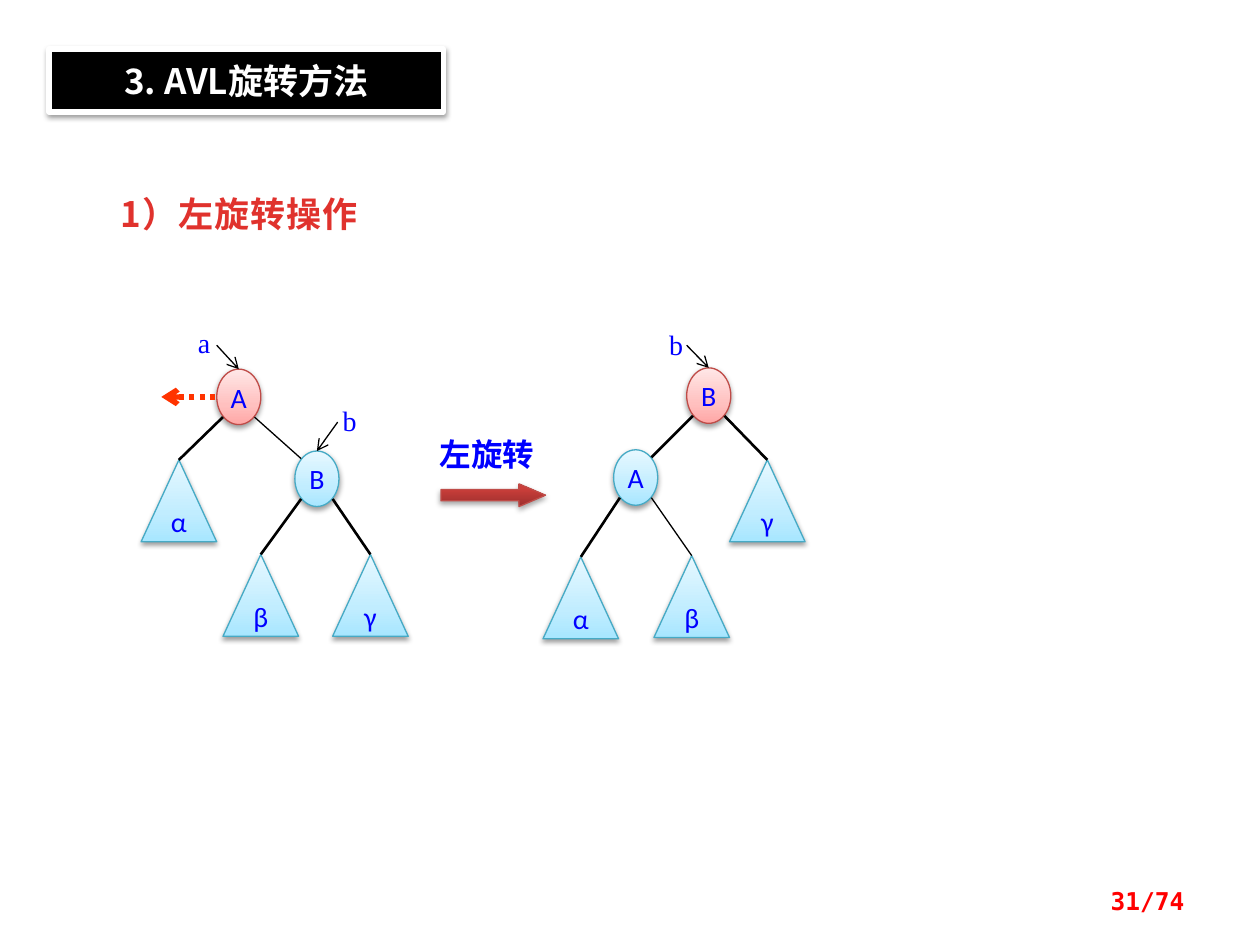
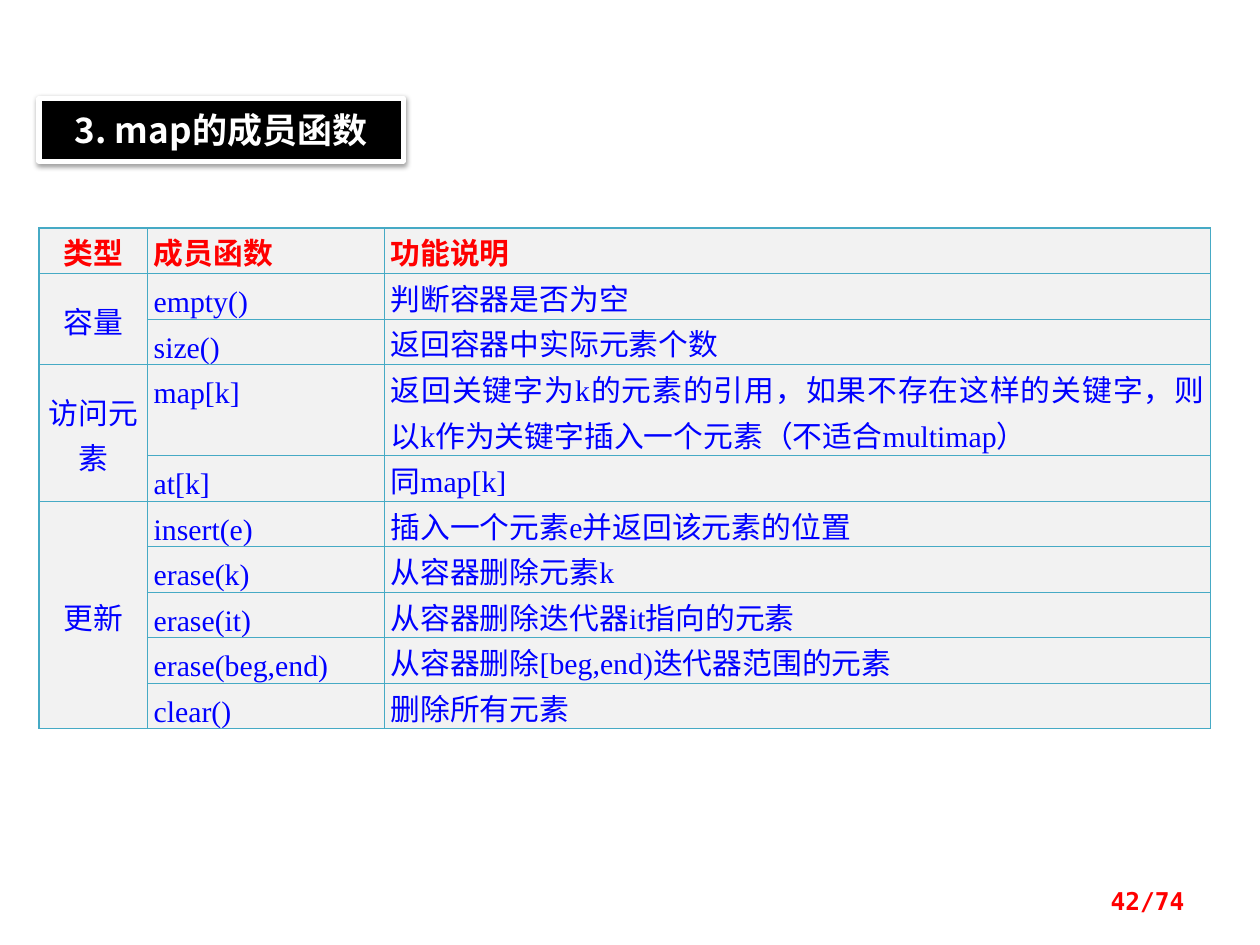
from lxml.etree import SubElement
from pptx import Presentation
from pptx.dml.color import RGBColor
from pptx.enum.dml import MSO_LINE
from pptx.enum.shapes import MSO_CONNECTOR, MSO_SHAPE
from pptx.enum.text import MSO_ANCHOR, PP_ALIGN
from pptx.oxml.ns import qn
from pptx.util import Emu, Inches, Pt

BLACK, WHITE, BLUE, RED = "000000", "FFFFFF", "0000FF", "FF0000"
HEADING_RED, DOTTED_RED = "E0322D", "FF3300"
TABLE_LINE, TABLE_FILL = "46AAC5", "F2F2F2"
RED_NODE = ([(0, "FFA6A5"), (35, "FFC0BF"), (100, "FFE7E7")], "BF4C48")
BLUE_NODE = ([(0, "A7E6FF"), (35, "C1EDFF"), (100, "E7F8FF")], "46AAC5")
RED_ARROW = ([(0, "9C2F2D"), (80, "CB3E3A"), (100, "CE3B37")], "BF4C48")
CHINESE, SERIF, SANS, MONO = "Noto Sans CJK SC", "Times New Roman", "Calibri", "DejaVu Sans Mono"
PAGE_COUNT = 74
NODE_WIDTH, NODE_HEIGHT = 0.35, 0.44
SUBTREE_WIDTH, SUBTREE_HEIGHT = 0.6, 0.65
DIAGONAL_X, DIAGONAL_Y = 0.05, 0.06
ROW_HEIGHT = 0.36

MEMBER_GROUPS = [
    ("容量", [("empty()", "判断容器是否为空"), ("size()", "返回容器中实际元素个数")]),
    ("访问元素", [
        ("map[k]", "返回关键字为k的元素的引用，如果不存在这样的关键字，则以k作为关键字插入一个元素（不适合multimap）"),
        ("at[k]", "同map[k]"),
    ]),
    ("更新", [
        ("insert(e)", "插入一个元素e并返回该元素的位置"),
        ("erase(k)", "从容器删除元素k"),
        ("erase(it)", "从容器删除迭代器it指向的元素"),
        ("erase(beg,end)", "从容器删除[beg,end)迭代器范围的元素"),
        ("clear()", "删除所有元素"),
    ]),
]


def color(value):
    """Turn a hex string into a colour."""
    return RGBColor.from_string(value)


def box(left, top, width, height):
    """Convert a box in inches to lengths."""
    return [Inches(value) for value in (left, top, width, height)]


def write(frame, text, size, font, text_color, bold=False, align=PP_ALIGN.LEFT):
    """Write one run into the first paragraph of a frame."""
    paragraph = frame.paragraphs[0]
    paragraph.alignment = align
    run = paragraph.add_run()
    run.text = text
    run.font.size = Pt(size)
    run.font.name = font
    run.font.bold = bold
    run.font.color.rgb = color(text_color)
    SubElement(run.font._element, qn("a:ea"), typeface=CHINESE)
    return run


def set_margins(frame, horizontal, vertical):
    """Set the left and right, then the top and bottom margins."""
    frame.margin_left = frame.margin_right = Inches(horizontal)
    frame.margin_top = frame.margin_bottom = Inches(vertical)


def add_shadow(shape, opacity=38, distance=1.6):
    """Give a shape a soft shadow straight below it."""
    shape.shadow.inherit = False
    effects = shape._element.spPr.find(qn("a:effectLst"))
    shadow = SubElement(effects, qn("a:outerShdw"), blurRad=str(Pt(3.1)), dist=str(Pt(distance)),
                        dir="5400000", rotWithShape="0")
    shade = SubElement(shadow, qn("a:srgbClr"), val=BLACK)
    SubElement(shade, qn("a:alpha"), val=str(opacity * 1000))


def add_gradient_shape(slide, kind, bounds, style):
    """Add a shape with an upward gradient and a thin outline."""
    stops, outline = style
    shape = slide.shapes.add_shape(kind, *box(*bounds))
    shape.fill.gradient()
    shape.fill.gradient_angle = 90
    stop_list = shape._element.spPr.find(".//" + qn("a:gsLst"))
    for stop in list(stop_list):
        stop_list.remove(stop)
    for position, value in stops:
        stop = SubElement(stop_list, qn("a:gs"), pos=str(position * 1000))
        SubElement(stop, qn("a:srgbClr"), val=value)
    shape.line.color.rgb = color(outline)
    shape.line.width = Pt(0.75)
    return shape


def add_line(slide, start, end, width=0.75, line_color=BLACK, dash=None, arrow=False, target=None):
    """Draw a straight line, joined to the top of a target if given."""
    line = slide.shapes.add_connector(MSO_CONNECTOR.STRAIGHT, *box(*start, *end))
    line.line.color.rgb = color(line_color)
    line.line.width = Pt(width)
    if dash:
        line.line.dash_style = dash
    if arrow:
        SubElement(line.line._get_or_add_ln(), qn("a:tailEnd"), type="arrow")
    SubElement(line._element.spPr, qn("a:effectLst"))
    if target is not None:
        line.end_connect(target, 0)


def add_title(slide, text, left, top, width):
    """Add the black title band."""
    band = slide.shapes.add_shape(MSO_SHAPE.RECTANGLE, *box(left, top, width, 0.5))
    band.fill.solid()
    band.fill.fore_color.rgb = color(BLACK)
    band.line.color.rgb = color(WHITE)
    band.line.width = Pt(3)
    add_shadow(band)
    set_margins(band.text_frame, 0.1, 0.08)
    band.text_frame.vertical_anchor = MSO_ANCHOR.MIDDLE
    write(band.text_frame, text, 20, CHINESE, WHITE, True, PP_ALIGN.CENTER)


def add_page_number(slide, number):
    """Add the page number at the lower right."""
    frame = slide.shapes.add_textbox(*box(7.17, 6.95, 2.33, 0.4)).text_frame
    frame.word_wrap = True
    frame.vertical_anchor = MSO_ANCHOR.MIDDLE
    write(frame, f"{number}/{PAGE_COUNT}", 14, MONO, RED, True, PP_ALIGN.RIGHT)


def add_label(slide, text, bounds, size=16, bold=False):
    """Add a small label on white."""
    label = slide.shapes.add_textbox(*box(*bounds))
    label.fill.solid()
    label.fill.fore_color.rgb = color(WHITE)
    set_margins(label.text_frame, 0, 0)
    label.text_frame.margin_left = Inches(0.04)
    write(label.text_frame, text, size, SERIF, BLUE, bold)


def add_tree_part(slide, kind, bounds, style, text):
    """Add a lettered node or subtree."""
    part = add_gradient_shape(slide, kind, bounds, style)
    add_shadow(part)
    set_margins(part.text_frame, 0, 0)
    part.text_frame.vertical_anchor = MSO_ANCHOR.MIDDLE
    part.text_frame.word_wrap = True
    write(part.text_frame, text, 16, SANS, BLUE, align=PP_ALIGN.CENTER)
    return part


def add_tree(slide, left, top, nodes, subtrees, edges, pointers):
    """Draw a tree whose parts are placed from its upper left corner."""
    parts, places = {}, {}
    for name, x, y, style in nodes:
        places[name] = (left + x, top + y)
        parts[name] = add_tree_part(slide, MSO_SHAPE.OVAL, (*places[name], NODE_WIDTH, NODE_HEIGHT), style, name)
    for name, x, y in subtrees:
        places[name] = (left + x, top + y)
        parts[name] = add_tree_part(slide, MSO_SHAPE.ISOSCELES_TRIANGLE,
                                    (*places[name], SUBTREE_WIDTH, SUBTREE_HEIGHT), BLUE_NODE, name)
    node_names = [node[0] for node in nodes]
    for parent, child, width in edges:
        (parent_x, parent_y), (child_x, child_y) = places[parent], places[child]
        goes_right = child_x > parent_x
        near, far = DIAGONAL_X, NODE_WIDTH - DIAGONAL_X
        start = (parent_x + (far if goes_right else near), parent_y + NODE_HEIGHT - DIAGONAL_Y)
        if child in node_names:
            end = (child_x + (near if goes_right else far), child_y + DIAGONAL_Y)
            add_line(slide, start, end, width)
        else:
            add_line(slide, start, (child_x + SUBTREE_WIDTH / 2, child_y), width, target=parts[child])
    for text, label_x, label_y, start_x, start_y, target in pointers:
        add_label(slide, text, (left + label_x, top + label_y, 0.17, 0.28))
        x, y = places[target]
        add_line(slide, (left + start_x, top + start_y), (x + NODE_WIDTH / 2, y),
                 arrow=True, target=parts[target])


def add_rotation_arrow(slide, left, top):
    """Draw the labelled arrow between the two trees."""
    add_label(slide, "左旋转", (left, top, 1.04, 0.35), 18, True)
    arrow = add_gradient_shape(slide, MSO_SHAPE.RIGHT_ARROW, (left + 0.05, top + 0.39, 0.83, 0.18), RED_ARROW)
    arrow.adjustments[0], arrow.adjustments[1] = 0.5, 1.17
    add_shadow(arrow, 35, 1.8)


def add_heading(slide, text, left, top):
    """Add the red heading below the title."""
    frame = slide.shapes.add_textbox(*box(left, top, 2.66, 0.44)).text_frame
    frame.word_wrap = True
    run = write(frame, text, 20, CHINESE, HEADING_RED, True)
    run.font._element.set("spc", "50")


def fill_cell(cell, text, is_header, is_category):
    """Write and style one table cell with its borders."""
    set_margins(cell, 0.05, 0)
    cell.vertical_anchor = MSO_ANCHOR.MIDDLE if is_category else MSO_ANCHOR.TOP
    cell.fill.solid()
    cell.fill.fore_color.rgb = color(TABLE_FILL)
    properties = cell._tc.get_or_add_tcPr()
    for index, side in enumerate(("a:lnL", "a:lnR", "a:lnT", "a:lnB")):
        border = SubElement(properties, qn(side), w=str(Pt(0.75)))
        fill = SubElement(border, qn("a:solidFill"))
        SubElement(fill, qn("a:srgbClr"), val=TABLE_LINE)
        properties.insert(index, border)
    if text:
        align = PP_ALIGN.CENTER if is_category else PP_ALIGN.JUSTIFY
        write(cell.text_frame, text, 17, SERIF, RED if is_header else BLUE, is_header, align)
        cell.text_frame.paragraphs[0].line_spacing = Pt(26)


def add_member_table(slide, left, top):
    """Add the table of member functions grouped by category."""
    rows = [("类型", "成员函数", "功能说明")]
    spans = []
    for category, members in MEMBER_GROUPS:
        spans.append((len(rows), len(rows) + len(members) - 1))
        rows += [("" if index else category, *member) for index, member in enumerate(members)]
    widths = [0.86, 1.88, 6.56]
    bounds = (left, top, sum(widths), ROW_HEIGHT * (len(rows) + 1))
    table = slide.shapes.add_table(len(rows), len(widths), *box(*bounds)).table
    table.first_row = table.horz_banding = False
    for column, width in zip(table.columns, widths):
        column.width = Inches(width)
    for row_index, texts in enumerate(rows):
        line_count = 2 if texts[1] == "map[k]" else 1
        table.rows[row_index].height = Emu(Inches(ROW_HEIGHT) * line_count)
        for column_index, text in enumerate(texts):
            fill_cell(table.cell(row_index, column_index), text, row_index == 0, column_index == 0)
    for first, last in spans:
        table.cell(first, 0).merge(table.cell(last, 0))


def build_rotation_slide(slide):
    """Build the slide on left rotation."""
    add_title(slide, "3. AVL旋转方法", 0.39, 0.39, 3.13)
    add_heading(slide, "1）左旋转操作", 0.86, 1.48)
    add_tree(
        slide, 1.12, 2.58,
        nodes=[("A", 0.6, 0.35, RED_NODE), ("B", 1.22, 1, BLUE_NODE)],
        subtrees=[("α", 0, 1.07), ("β", 0.65, 1.82), ("γ", 1.52, 1.82)],
        edges=[("A", "α", 1.5), ("A", "B", 0.75), ("B", "β", 1.5), ("B", "γ", 1.5)],
        pointers=[("a", 0.41, 0, 0.6, 0.16, "A"), ("b", 1.56, 0.62, 1.56, 0.77, "B")],
    )
    add_line(slide, (1.71, 3.15), (1.28, 3.15), 3, DOTTED_RED, MSO_LINE.ROUND_DOT, arrow=True)
    add_rotation_arrow(slide, 3.45, 3.45)
    add_tree(
        slide, 4.31, 2.58,
        nodes=[("B", 1.14, 0.34, RED_NODE), ("A", 0.56, 0.99, BLUE_NODE)],
        subtrees=[("α", 0, 1.84), ("β", 0.88, 1.83), ("γ", 1.48, 1.07)],
        edges=[("B", "A", 1.5), ("B", "γ", 1.5), ("A", "α", 1.5), ("A", "β", 0.75)],
        pointers=[("b", 0.96, 0.02, 1.14, 0.16, "B")],
    )
    add_page_number(slide, 31)


def build_member_slide(slide):
    """Build the slide on the member functions of map."""
    add_title(slide, "3. map的成员函数", 0.31, 0.78, 2.89)
    add_member_table(slide, 0.31, 1.81)
    add_page_number(slide, 42)


def main():
    """Build and save the presentation."""
    presentation = Presentation()
    presentation.slide_width, presentation.slide_height = Inches(10), Inches(7.5)
    for build in (build_rotation_slide, build_member_slide):
        build(presentation.slides.add_slide(presentation.slide_layouts[6]))
    presentation.save("out.pptx")


if __name__ == "__main__":
    main()
